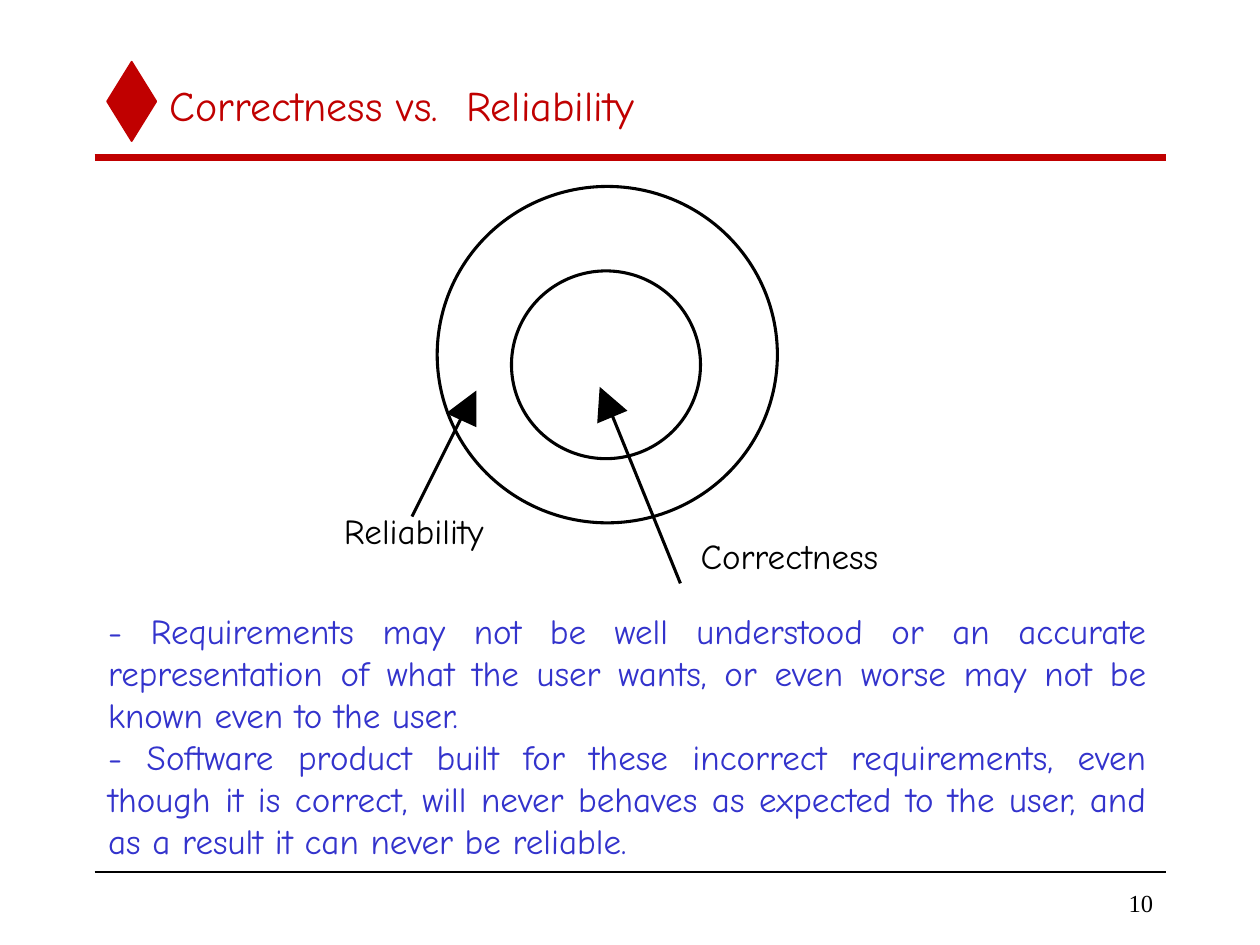
"""Build the slide comparing correctness with reliability."""
from dataclasses import dataclass

import pptx
import pptx.dml.color
import pptx.enum.shapes
import pptx.enum.text
import pptx.oxml
import pptx.oxml.ns
import pptx.shapes.base
import pptx.util

Inches = pptx.util.Inches
Pt = pptx.util.Pt
RGBColor = pptx.dml.color.RGBColor
Shape = pptx.enum.shapes.MSO_SHAPE
Align = pptx.enum.text.PP_ALIGN
Anchor = pptx.enum.text.MSO_ANCHOR
AutoSize = pptx.enum.text.MSO_AUTO_SIZE

RED = RGBColor(0xC0, 0x00, 0x00)
BLACK = RGBColor(0x00, 0x00, 0x00)
WHITE = RGBColor(0xFF, 0xFF, 0xFF)
BLUE = RGBColor(0x33, 0x33, 0xCC)
BODY_FONT = "Comic Neue"
NUMBER_FONT = "Times New Roman"
Point = tuple[float, float]
Box = tuple[float, float, float, float]


@dataclass(frozen=True)
class Outline:
    kind: Shape
    box: Box
    fill: RGBColor
    line: RGBColor
    width: float


@dataclass(frozen=True)
class Rule:
    start: Point
    end: Point
    color: RGBColor
    width: float


@dataclass(frozen=True)
class Arrow:
    shaft: Rule
    head: tuple[Point, Point, Point]


@dataclass(frozen=True)
class Label:
    box: Box
    paragraphs: tuple[str, ...]
    size: float
    color: RGBColor = BLACK
    font: str = BODY_FONT
    align: Align = Align.LEFT
    anchor: Anchor = Anchor.TOP
    margins: Point = (0.1, 0.05)
    wrap: bool = True
    grow: bool = False


DIAMOND = Outline(Shape.DIAMOND, (0.85, 0.49, 0.39, 0.63), RED, RED, 1)
RULES = (
    Rule((0.75, 1.25), (9.25, 1.25), RED, 4),
    Rule((0.75, 6.92), (9.25, 6.92), BLACK, 1),
)
CIRCLES = tuple(
    Outline(Shape.OVAL, box, WHITE, BLACK, 1.75)
    for box in ((3.47, 1.48, 2.7, 2.67), (4.06, 2.15, 1.5, 1.49))
)
ARROWS = (
    Arrow(Rule((3.27, 4.1), (3.66, 3.32), BLACK, 1.75),
          ((3.78, 3.39), (3.78, 3.1), (3.54, 3.28))),
    Arrow(Rule((5.4, 4.63), (4.86, 3.3), BLACK, 1.75),
          ((4.98, 3.26), (4.76, 3.07), (4.74, 3.36))),
)
CIRCLE_LABEL = dict(size=20, margins=(0, 0), wrap=False, grow=True)
LABELS = (
    Label((1.25, 0.5, 8, 0.67), ("Correctness vs.  Reliability",), 24, RED,
          anchor=Anchor.MIDDLE),
    Label((7.83, 7, 1.42, 0.33), ("10",), 14, font=NUMBER_FONT,
          align=Align.RIGHT, anchor=Anchor.MIDDLE, wrap=False),
    Label((2.73, 4.04, 1.11, 0.33), ("Reliability",), **CIRCLE_LABEL),
    Label((5.56, 4.24, 1.42, 0.33), ("Correctness",), **CIRCLE_LABEL),
    Label((0.76, 4.79, 8.44, 2.1), (
        "- Requirements may not be well understood or an accurate "
        "representation of what the user wants, or even worse may not be "
        "known even to the user.",
        "- Software product built for these incorrect requirements, even "
        "though it is correct, will never behaves as expected to the user, "
        "and as a result it can never be reliable.",
    ), 20, BLUE, align=Align.JUSTIFY, grow=True),
)


def apply_format(target: object, values: dict) -> None:
    for name, value in values.items():
        setattr(target, name, value)


def add_outline(shapes, outline: Outline) -> None:
    sp = shapes.add_shape(outline.kind, *map(Inches, outline.box))
    sp.shadow.inherit = False
    sp.fill.solid()
    sp.fill.fore_color.rgb = outline.fill
    sp.line.color.rgb = outline.line
    sp.line.width = Pt(outline.width)


def add_rule(shapes, rule: Rule) -> None:
    cxn = shapes.add_connector(pptx.enum.shapes.MSO_CONNECTOR.STRAIGHT,
                               *map(Inches, rule.start + rule.end))
    cxn.line.color.rgb = rule.color
    cxn.line.width = Pt(rule.width)
    effects = pptx.oxml.parse_xml(
        f'<a:effectLst {pptx.oxml.ns.nsdecls("a")}/>')
    cxn._element.spPr.append(effects)


def add_arrow(shapes, arrow: Arrow) -> None:
    group = shapes.add_group_shape()
    add_rule(group.shapes, arrow.shaft)
    start, *rest = [tuple(map(Inches, point)) for point in arrow.head]
    builder = group.shapes.build_freeform(*start)
    builder.add_line_segments(rest, close=True)
    sp = builder.convert_to_shape()
    sp.shadow.inherit = False
    sp.fill.solid()
    sp.fill.fore_color.rgb = arrow.shaft.color
    sp.line.fill.background()


def add_label(shapes, label: Label) -> None:
    sp = shapes.add_textbox(*map(Inches, label.box))
    tf = sp.text_frame
    side, end = map(Inches, label.margins)
    apply_format(tf, {
        "margin_left": side, "margin_right": side,
        "margin_top": end, "margin_bottom": end,
        "word_wrap": label.wrap, "vertical_anchor": label.anchor,
        "auto_size": AutoSize.SHAPE_TO_FIT_TEXT if label.grow else AutoSize.NONE,
    })
    for i, text in enumerate(label.paragraphs):
        p = tf.add_paragraph() if i else tf.paragraphs[0]
        p.alignment = label.align
        r = p.add_run()
        r.text = text
        apply_format(r.font, {"name": label.font, "size": Pt(label.size)})
        r.font.color.rgb = label.color


def main() -> None:
    prs = pptx.Presentation()
    apply_format(prs, {"slide_width": Inches(10), "slide_height": Inches(7.5)})
    s = prs.slides.add_slide(prs.slide_layouts[6])
    add_outline(s.shapes, DIAMOND)
    for rule in RULES:
        add_rule(s.shapes, rule)
    for circle in CIRCLES:
        add_outline(s.shapes, circle)
    for arrow in ARROWS:
        add_arrow(s.shapes, arrow)
    for label in LABELS:
        add_label(s.shapes, label)
    prs.save("out.pptx")


if __name__ == "__main__":
    main()
